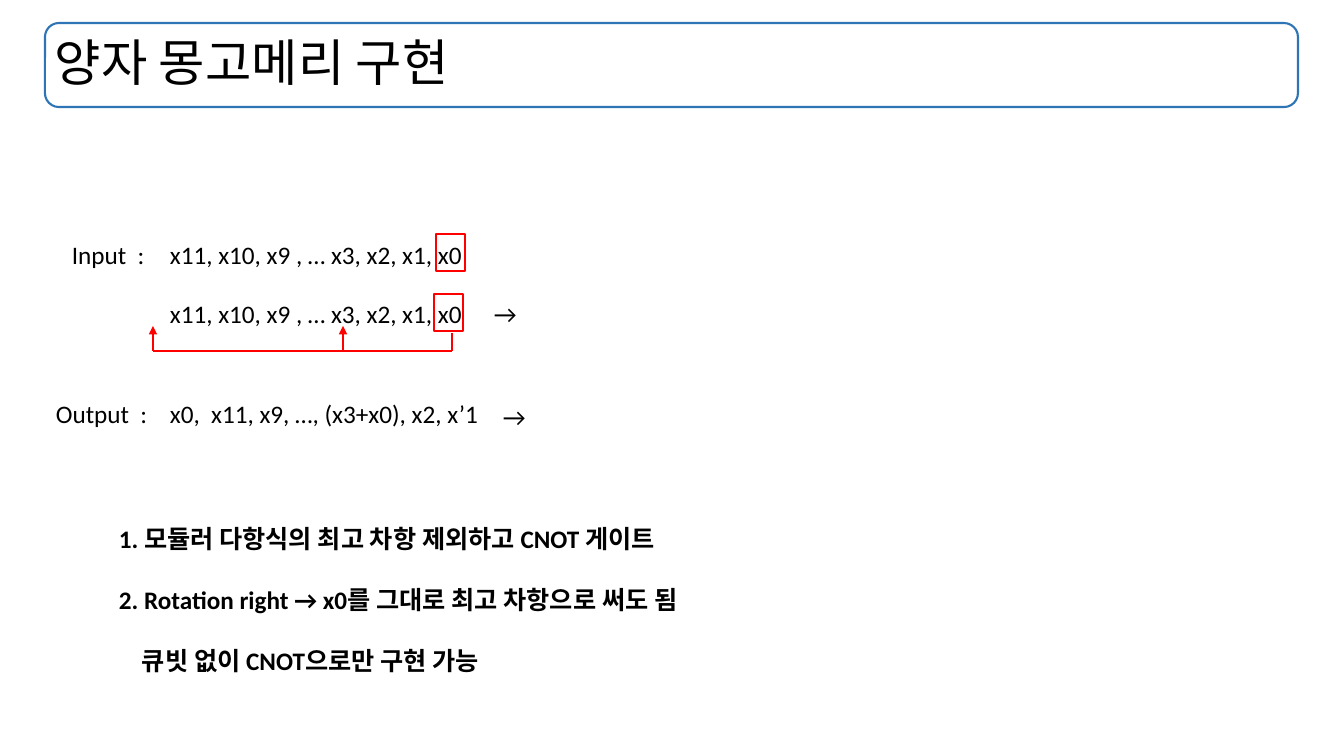
from lxml import etree
from pptx import Presentation
from pptx.dml.color import RGBColor
from pptx.enum.shapes import MSO_CONNECTOR, MSO_SHAPE
from pptx.enum.text import MSO_ANCHOR, MSO_AUTO_SIZE
from pptx.oxml.ns import qn
from pptx.util import Pt

SCALE = 914400 / 100.8
RECT, ROUND = MSO_SHAPE.RECTANGLE, MSO_SHAPE.ROUNDED_RECTANGLE
LINE = MSO_CONNECTOR.STRAIGHT
MIDDLE, TOP = MSO_ANCHOR.MIDDLE, MSO_ANCHOR.TOP
GROW, FIXED = MSO_AUTO_SIZE.SHAPE_TO_FIT_TEXT, MSO_AUTO_SIZE.NONE
BLACK, BLUE, RED = "000000", "2E75B5", "FF0000"


def px(n):
    return round(n * SCALE)


def paint(color, value):
    color.rgb = RGBColor.from_string(value)


def apply(target, values):
    for name, value in values.items():
        setattr(target, name, value)


class Board:
    font = {"name": "Calibri", "size": Pt(18), "bold": False}

    def __init__(self, deck):
        self.shapes = deck.slides.add_slide(deck.slide_layouts[6]).shapes

    def frame(self, kind, box, color, width=1):
        shape = self.shapes.add_shape(kind, *map(px, box))
        shape.shadow.inherit = False
        shape.fill.background()
        paint(shape.line.color, color)
        shape.line.width = Pt(width)

    def text(self, box, lines, gap=0, indents=(), wrap=False, anchor=TOP,
             lead=1.0, **font):
        frame = self.shapes.add_textbox(*map(px, box)).text_frame
        apply(frame, {"word_wrap": wrap, "vertical_anchor": anchor,
                      "auto_size": FIXED if wrap else GROW})
        for i, line in enumerate(lines):
            para = frame.paragraphs[0] if i == 0 else frame.add_paragraph()
            para.line_spacing = lead
            if i:
                para.space_before = Pt(gap)
            if i < len(indents) and indents[i]:
                para._p.get_or_add_pPr().set("marL", str(px(indents[i])))
            run = para.add_run()
            run.text = line
            apply(run.font, {**self.font, **font})
            paint(run.font.color, BLACK)

    def line(self, start, end, arrow=False):
        link = self.shapes.add_connector(LINE, *map(px, start + end))
        paint(link.line.color, RED)
        link.line.width = Pt(1)
        if arrow:
            etree.SubElement(link.line._get_or_add_ln(), qn("a:tailEnd"),
                             type="triangle")
        etree.SubElement(link._element.spPr, qn("a:effectLst"))


def main():
    deck = Presentation()
    apply(deck, {"slide_width": px(1344), "slide_height": px(756)})
    board = Board(deck)

    # Title
    bar = (45, 23, 1253, 84)
    board.frame(ROUND, bar, BLUE, 1.5)
    board.text(bar, ["양자 몽고메리 구현"], wrap=True, anchor=MIDDLE,
               lead=0.9, size=Pt(36))

    # Input, feedback and output rows
    terms = "x11, x10, x9 , … x3, x2, x1, x0"
    for left, top, width, label in (
            (62, 234, 94, "Input  :"),
            (160, 234, 316, terms),
            (160, 293, 316, terms),
            (484, 293, 51, "→"),
            (46, 393, 125, "Output  :"),
            (160, 393, 332, "x0,  x11, x9, …, (x3+x0), x2, x’1"),
            (493, 396, 51, "→")):
        board.text((left, top, width, 40), [label])

    # Marks around x0
    for left, top in ((436, 234), (434, 294)):
        board.frame(RECT, (left, top, 29, 37), RED)

    # Feedback path from x0
    base, source, first = 351, 452, 153
    board.line((source, 333), (source, base))
    board.line((source, base), (first, base))
    for x in (first, 343):
        board.line((x, base), (x, 326), arrow=True)

    # Notes
    board.text((109, 518, 613, 163),
               ["1. 모듈러 다항식의 최고 차항 제외하고 CNOT 게이트",
                "2. Rotation right → x0를 그대로 최고 차항으로 써도 됨",
                "큐빗 없이 CNOT으로만 구현 가능"],
               gap=22, indents=(0, 0, 23), bold=True)

    deck.save("out.pptx")


if __name__ == "__main__":
    main()
